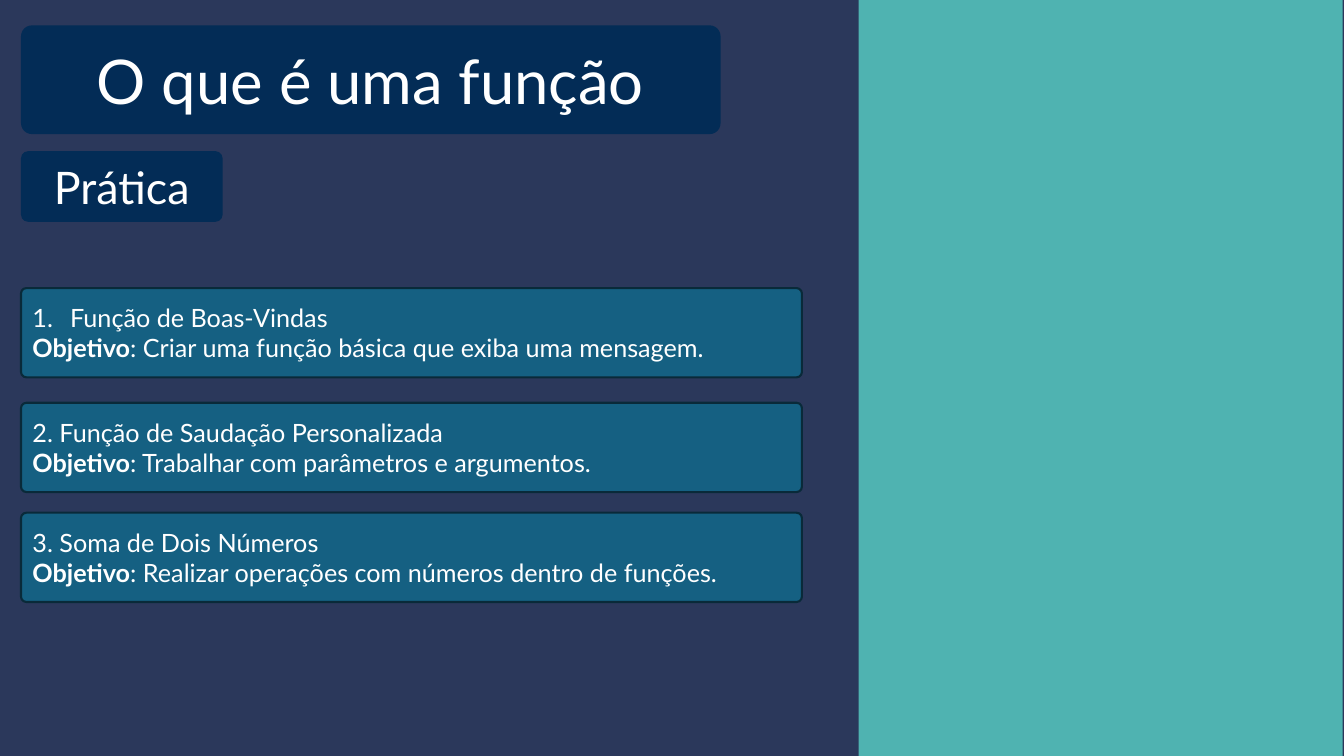
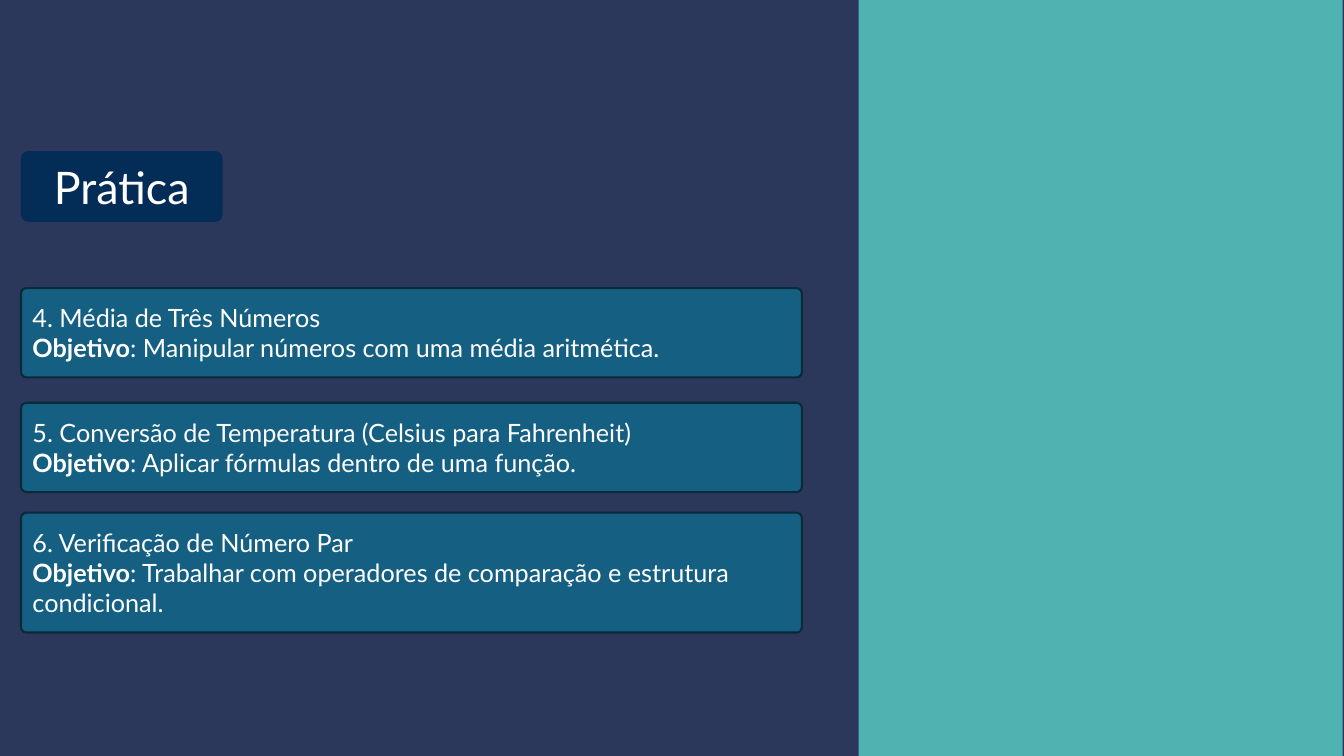
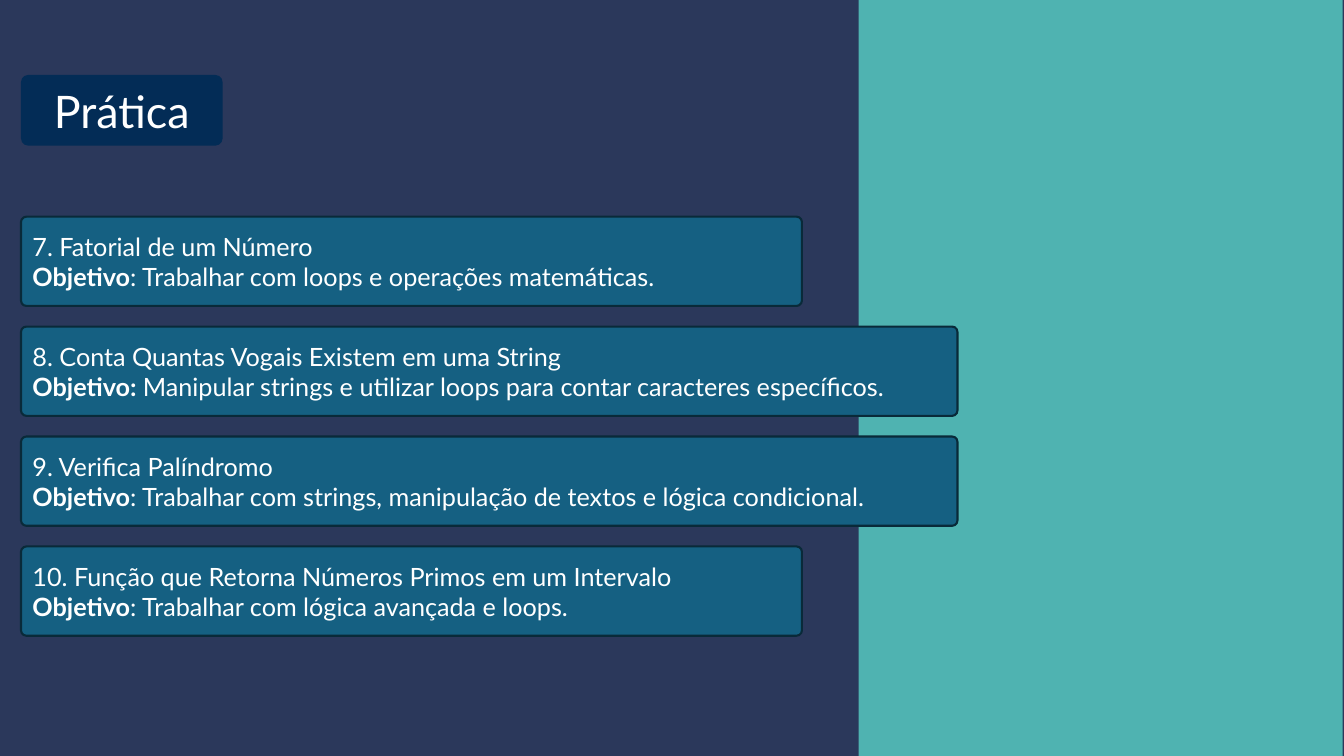
import pptx
import pptx.dml.color
import pptx.enum.shapes
import pptx.enum.text
import pptx.util
from lxml import etree
from pptx.oxml.ns import qn

Cm, Pt = pptx.util.Cm, pptx.util.Pt
SHAPE = pptx.enum.shapes.MSO_SHAPE
ALIGN = pptx.enum.text.PP_ALIGN

# Content: card = (title, bold lead, objective)
LEAD = "Objetivo"
SLIDES = [
    {
        "title": "O que é uma função",
        "label_top": 3.81,
        "card_tops": [7.26, 10.15, 12.92],
        "numbered": [0],  # cards whose number is a list marker
        "cards": [
            ("Função de Boas-Vindas", LEAD,
             ": Criar uma função básica que exiba uma mensagem."),
            ("2. Função de Saudação Personalizada", LEAD,
             ": Trabalhar com parâmetros e argumentos."),
            ("3. Soma de Dois Números", LEAD,
             ": Realizar operações com números dentro de funções."),
        ],
    },
    {
        "label_top": 3.81,
        "card_tops": [7.26, 10.15, 12.92],
        "tall": [2],  # cards with three lines of text
        "cards": [
            ("4. Média de Três Números", LEAD,
             ": Manipular números com uma média aritmética."),
            ("5. Conversão de Temperatura (Celsius para Fahrenheit)", LEAD,
             ": Aplicar fórmulas dentro de uma função."),
            ("6. Verificação de Número Par", LEAD,
             ": Trabalhar com operadores de comparação e estrutura condicional."),
        ],
    },
    {
        "label_top": 1.89,
        "card_tops": [5.46 + 2.77 * i for i in range(4)],
        "wide": [1, 2],  # cards that reach over the band
        "cards": [
            ("7. Fatorial de um Número", LEAD,
             ": Trabalhar com loops e operações matemáticas."),
            ("8. Conta Quantas Vogais Existem em uma String", LEAD + ": ",
             "Manipular strings e utilizar loops para contar caracteres específicos."),
            ("9. Verifica Palíndromo", LEAD,
             ": Trabalhar com strings, manipulação de textos e lógica condicional."),
            ("10. Função que Retorna Números Primos em um Intervalo", LEAD,
             ": Trabalhar com lógica avançada e loops."),
        ],
    },
]

# Shared style
COLORS = {"bg": "2B385B", "band": "4FB3B1", "heading": "032C56",
          "card": "156082", "edge": "092A39", "text": "FFFFFF"}
FONT = "Lato"
WIDTH, HEIGHT = 33.87, 19.05
BAND_LEFT, BAND_WIDTH = 21.64, 12.2
LEFT = 0.53
CARD_WIDTH, WIDE_WIDTH = 19.68, 23.6
CARD_HEIGHT, TALL_HEIGHT = 2.25, 3.02


def rgb(name):
    return pptx.dml.color.RGBColor.from_string(COLORS[name])


def add_box(slide, kind, at, fill, radius=None, edge=None):
    sp = slide.shapes.add_shape(kind, *(Cm(v) for v in at))
    sp.shadow.inherit = False
    sp.fill.solid()
    sp.fill.fore_color.rgb = rgb(fill)
    if radius is not None:
        # Corner size as a share of the shorter side
        sp.adjustments[0] = radius
    if edge:
        sp.line.color.rgb = rgb(edge)
        sp.line.width = Pt(1.5)
    else:
        sp.line.fill.background()
    return sp


def style(p, size, align):
    p.alignment = align
    p.font.name = FONT
    p.font.size = Pt(size)
    p.font.color.rgb = rgb("text")


def add_heading(slide, text, at, size):
    sp = add_box(slide, SHAPE.ROUNDED_RECTANGLE, at, "heading", 0.1)
    p = sp.text_frame.paragraphs[0]
    p.text = text
    style(p, size, ALIGN.CENTER)


def number(p):
    pPr = p._p.get_or_add_pPr()
    pPr.set("marL", str(Cm(0.95)))
    pPr.set("indent", str(-Cm(0.95)))
    marker = etree.Element(qn("a:buAutoNum"), type="arabicPeriod")
    pPr.insert(0, marker)


def add_card(slide, card, top, wide, tall, numbered):
    title, lead, objective = card
    width = WIDE_WIDTH if wide else CARD_WIDTH
    height = TALL_HEIGHT if tall else CARD_HEIGHT
    radius = 0.06 * CARD_HEIGHT / height
    sp = add_box(slide, SHAPE.ROUNDED_RECTANGLE, (LEFT, top, width, height),
                 "card", radius, "edge")
    tf = sp.text_frame
    p = tf.paragraphs[0]
    p.text = title
    style(p, 18, ALIGN.LEFT)
    if numbered:
        number(p)
    p = tf.add_paragraph()
    style(p, 18, ALIGN.LEFT)
    for text, bold in ((lead, True), (objective, False)):
        r = p.add_run()
        r.text = text
        r.font.bold = bold


def main():
    prs = pptx.Presentation()
    prs.slide_width, prs.slide_height = Cm(WIDTH), Cm(HEIGHT)
    for content in SLIDES:
        slide = prs.slides.add_slide(prs.slide_layouts[6])
        # Background and side band
        slide.background.fill.solid()
        slide.background.fill.fore_color.rgb = rgb("bg")
        add_box(slide, SHAPE.RECTANGLE, (BAND_LEFT, 0, BAND_WIDTH, HEIGHT), "band")
        # Headings
        if "title" in content:
            add_heading(slide, content["title"], (LEFT, 0.64, 17.63, 2.74), 44)
        add_heading(slide, "Prática", (LEFT, content["label_top"], 5.08, 1.78), 32)
        # Exercise cards
        for i, (card, top) in enumerate(zip(content["cards"], content["card_tops"])):
            flags = (i in content.get(key, []) for key in ("wide", "tall", "numbered"))
            add_card(slide, card, top, *flags)
    prs.save("out.pptx")


if __name__ == "__main__":
    main()
